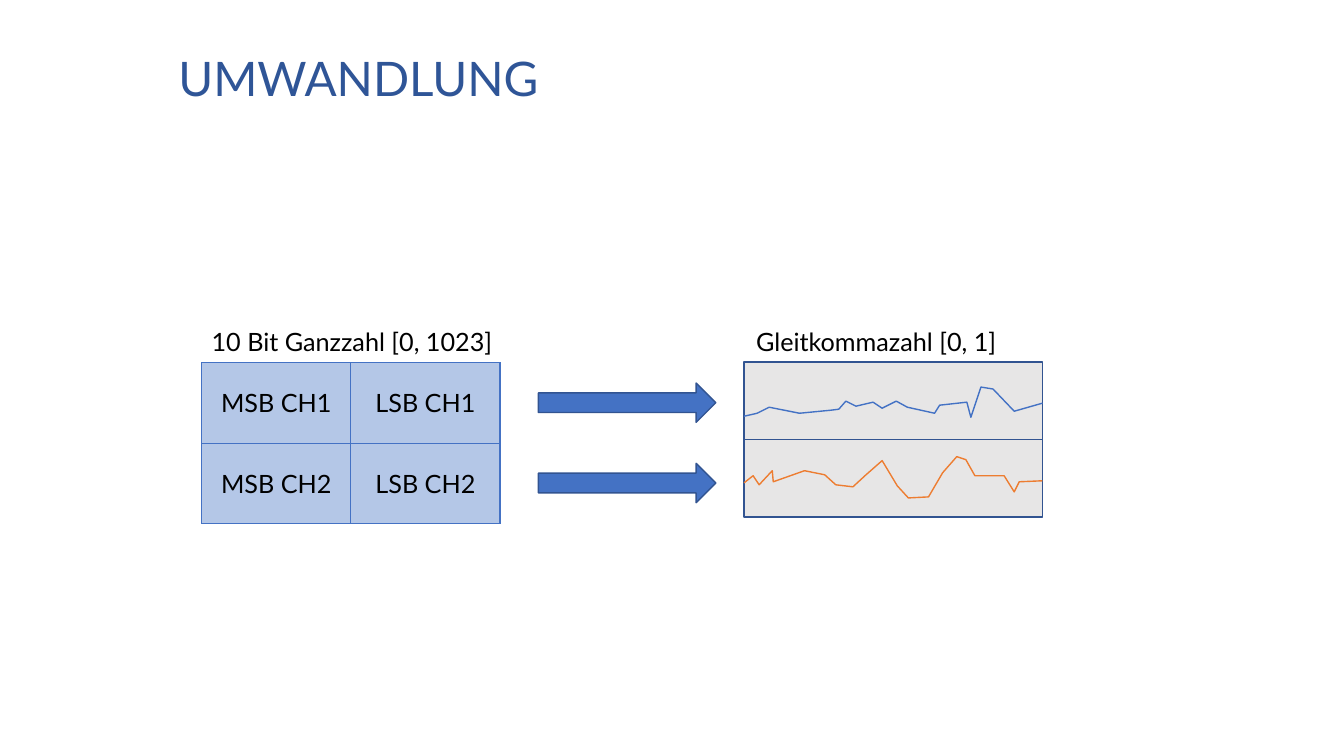
"""Build the slide on converting 10-bit integers to floating-point signals."""
import lxml.etree
import pptx
import pptx.dml.color
import pptx.enum.shapes
import pptx.enum.text
import pptx.oxml.ns
import pptx.util

COLORS = {"title": "2F5597", "text": "000000", "blue": "4472C4", "outline": "325491",
          "cell": "B4C7E7", "frame": "E7E6E6", "orange": "ED7D31"}
FONT = "Lato"
GRID = pptx.util.Inches(0.1)
TABLE_LEFT, TABLE_TOP, TABLE_COLUMN, TABLE_ROW = 20, 36, 14.8, 7.97
FRAME_LEFT, FRAME_TOP, FRAME_WIDTH, FRAME_HEIGHT = 73.8, 35.9, 29.6, 7.7
LABEL_TOP = 31.9
SIGNAL_COLUMNS = 296

CHANNELS = ["CH1", "CH2"]
BYTES = ["MSB", "LSB"]
SIGNAL_COLORS = ["blue", "orange"]
SIGNALS = [
    [(0, 54), (13, 51), (25, 45), (55, 51), (86, 48), (94, 47), (101, 39),
     (111, 44), (128, 40), (137, 46), (151, 39), (162, 45), (189, 51), (194, 43),
     (221, 40), (225, 55), (235, 25), (247, 27), (268, 49), (296, 41)],
    [(0, 43), (9, 36), (15, 45), (28, 31), (29, 42), (60, 31), (80, 35), (91, 45),
     (108, 47), (121, 35), (137, 21), (152, 46), (163, 58), (183, 57), (197, 33),
     (211, 17), (220, 20), (229, 36), (258, 36), (268, 52), (273, 42), (296, 41)],
]


def color(name):
    return pptx.dml.color.RGBColor.from_string(COLORS[name])


def grid(*lengths):
    return [round(length * GRID) for length in lengths]


def write(frame, text, size=18, ink="text", align=None, spacing=None):
    frame.word_wrap = True
    para = frame.paragraphs[0]
    para.alignment = align
    para.line_spacing = spacing
    span = para.add_run()
    span.text = text
    span.font.name = FONT
    span.font.size = pptx.util.Pt(size)
    span.font.color.rgb = color(ink)


def add_text(slide, area, text, **style):
    box = slide.shapes.add_textbox(*grid(*area))
    write(box.text_frame, text, **style)


def set_line(shape, ink):
    shape.line.color.rgb = color(ink)
    shape.line.width = pptx.util.Pt(1)
    shape.shadow.inherit = False


def add_block(slide, kind, area, fill):
    block = slide.shapes.add_shape(kind, *grid(*area))
    block.fill.solid()
    block.fill.fore_color.rgb = color(fill)
    set_line(block, "outline")


def add_borders(cell, ink):
    properties = cell._tc.get_or_add_tcPr()
    qn = pptx.oxml.ns.qn
    for position, side in enumerate(["a:lnL", "a:lnR", "a:lnT", "a:lnB"]):
        border = lxml.etree.Element(qn(side), w=str(pptx.util.Pt(1)))
        fill = lxml.etree.SubElement(border, qn("a:solidFill"))
        lxml.etree.SubElement(fill, qn("a:srgbClr"), val=COLORS[ink])
        properties.insert(position, border)


def add_byte_table(slide):
    rows, columns = len(CHANNELS), len(BYTES)
    area = (TABLE_LEFT, TABLE_TOP, columns * TABLE_COLUMN, rows * TABLE_ROW)
    table = slide.shapes.add_table(rows, columns, *grid(*area)).table
    for row, channel in enumerate(CHANNELS):
        for column, byte in enumerate(BYTES):
            cell = table.cell(row, column)
            cell.fill.solid()
            cell.fill.fore_color.rgb = color("cell")
            cell.vertical_anchor = pptx.enum.text.MSO_ANCHOR.MIDDLE
            write(cell.text_frame, f"{byte} {channel}", align=pptx.enum.text.PP_ALIGN.CENTER)
            add_borders(cell, "blue")


def add_signal(slide, top, points, ink):
    area = (FRAME_LEFT, top, FRAME_WIDTH, FRAME_HEIGHT)
    add_block(slide, pptx.enum.shapes.MSO_SHAPE.RECTANGLE, area, "frame")
    scale = FRAME_WIDTH * GRID / SIGNAL_COLUMNS
    builder = slide.shapes.build_freeform(*points[0], scale=scale)
    builder.add_line_segments(points[1:], close=False)
    curve = builder.convert_to_shape(*grid(FRAME_LEFT, top))
    curve.fill.background()
    set_line(curve, ink)


def main():
    deck = pptx.Presentation()
    deck.slide_width = pptx.util.Inches(13.33)
    deck.slide_height = pptx.util.Inches(7.5)
    slide = deck.slides.add_slide(deck.slide_layouts[6])
    add_text(slide, (16.7, 5, 100, 12.5), "UMWANDLUNG", size=34, ink="title", spacing=0.9)
    add_text(slide, (TABLE_LEFT, LABEL_TOP, 31.9, 4), "10 Bit Ganzzahl [0, 1023]")
    add_text(slide, (74, LABEL_TOP, 31.9, 4), "Gleitkommazahl [0, 1]")
    add_byte_table(slide)
    for row, (points, ink) in enumerate(zip(SIGNALS, SIGNAL_COLORS)):
        arrow = (53.4, 38 + row * TABLE_ROW, 17.6, 3.9)
        add_block(slide, pptx.enum.shapes.MSO_SHAPE.RIGHT_ARROW, arrow, "blue")
        add_signal(slide, FRAME_TOP + row * FRAME_HEIGHT, points, ink)
    deck.save("out.pptx")


if __name__ == "__main__":
    main()
